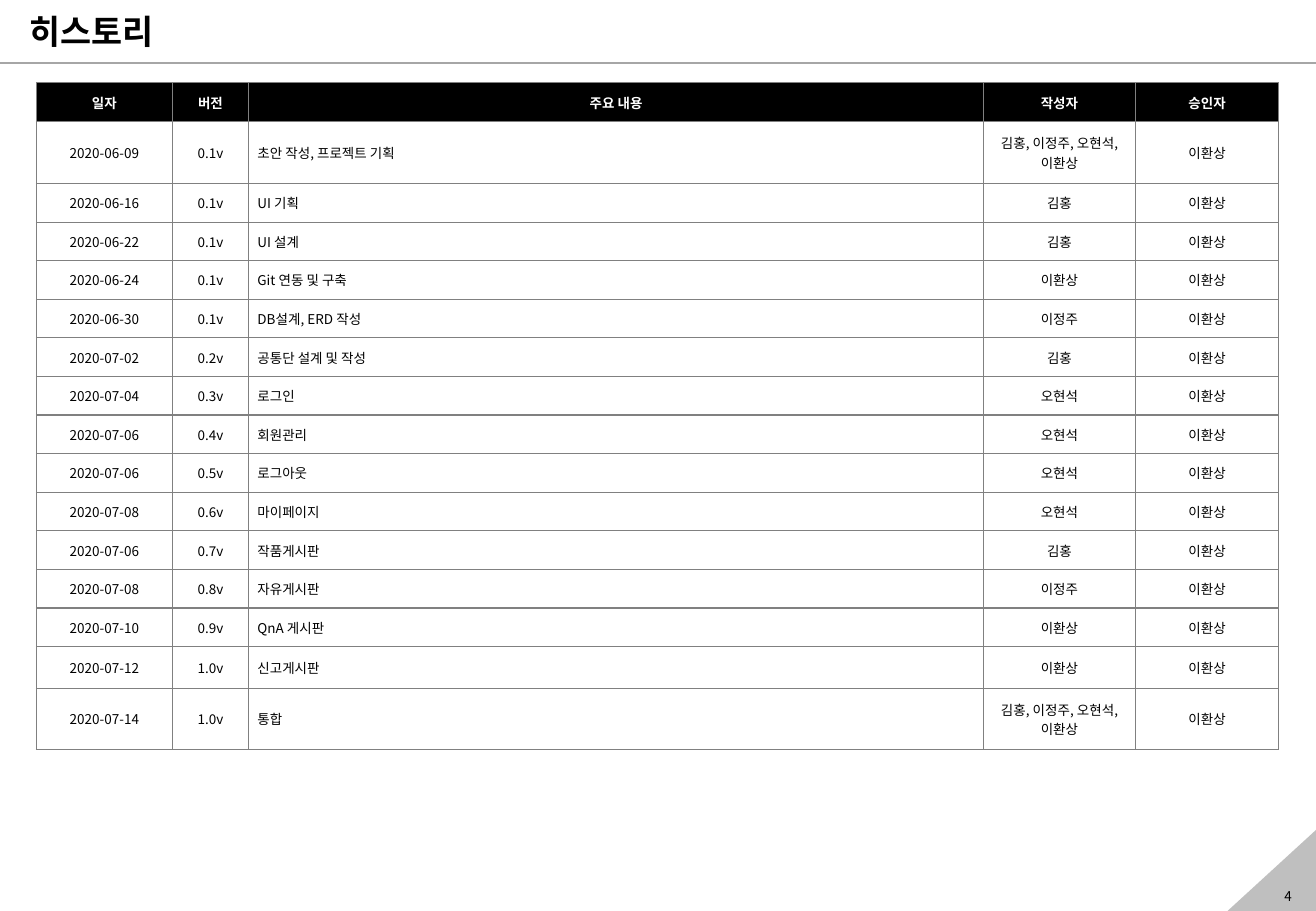
"""Builds the project history slide with its revision table."""
from lxml import etree
from pptx import Presentation
from pptx.dml.color import RGBColor
from pptx.enum import shapes, text
from pptx.oxml import ns
from pptx.util import Pt

FONT = "Noto Sans CJK KR"
BLACK = RGBColor(0x00, 0x00, 0x00)
WHITE = RGBColor(0xFF, 0xFF, 0xFF)
CORNER_GRAY = RGBColor(0xBF, 0xBF, 0xBF)
RULE_GRAY = RGBColor(0xA6, 0xA6, 0xA6)
BORDER_GRAY = RGBColor(0x80, 0x80, 0x80)

HEADER = ("일자", "버전", "주요 내용", "작성자", "승인자")
APPROVER = "이환상"
TEAM = "김홍, 이정주, 오현석, 이환상"
HISTORY = [
    ("2020-06-09", "0.1v", "초안 작성, 프로젝트 기획", TEAM),
    ("2020-06-16", "0.1v", "UI 기획", "김홍"),
    ("2020-06-22", "0.1v", "UI 설계", "김홍"),
    ("2020-06-24", "0.1v", "Git 연동 및 구축", "이환상"),
    ("2020-06-30", "0.1v", "DB설계, ERD 작성", "이정주"),
    ("2020-07-02", "0.2v", "공통단 설계 및 작성", "김홍"),
    ("2020-07-04", "0.3v", "로그인", "오현석"),
    ("2020-07-06", "0.4v", "회원관리", "오현석"),
    ("2020-07-06", "0.5v", "로그아웃", "오현석"),
    ("2020-07-08", "0.6v", "마이페이지", "오현석"),
    ("2020-07-06", "0.7v", "작품게시판", "김홍"),
    ("2020-07-08", "0.8v", "자유게시판", "이정주"),
    ("2020-07-10", "0.9v", "QnA 게시판", "이환상"),
    ("2020-07-12", "1.0v", "신고게시판", "이환상"),
    ("2020-07-14", "1.0v", "통합", TEAM),
]
COLUMN_WIDTHS = (80.6, 45.2, 435.6, 90, 85)
ROW_HEIGHTS = [23.1, 36.7] + [22.9] * 12 + [24.6, 36.7]


def write(para, words, size, color, bold=False, align=text.PP_ALIGN.CENTER):
    para.text = words
    para.alignment = align
    para.font.name = FONT
    para.font.size = Pt(size)
    para.font.bold = bold
    para.font.color.rgb = color
    latin = para._p.pPr.find(".//" + ns.qn("a:latin"))
    east_asian = etree.Element(ns.qn("a:ea"), typeface=FONT)
    latin.addnext(east_asian)


def add_borders(cell):
    properties = cell._tc.get_or_add_tcPr()
    for position, side in enumerate(("lnL", "lnR", "lnT", "lnB")):
        border = etree.Element(ns.qn("a:" + side), w=str(Pt(0.75)))
        fill = etree.SubElement(border, ns.qn("a:solidFill"))
        etree.SubElement(fill, ns.qn("a:srgbClr"), val=str(BORDER_GRAY))
        properties.insert(position, border)


deck = Presentation()
deck.slide_width, deck.slide_height = Pt(780), Pt(540)
page = deck.slides.add_slide(deck.slide_layouts[5])

corner = page.shapes.add_shape(
    shapes.MSO_SHAPE.RIGHT_TRIANGLE, Pt(729.9), Pt(489.5), Pt(48.2), Pt(52.6))
corner.rotation = 270
corner.shadow.inherit = False
corner.fill.solid()
corner.fill.fore_color.rgb = CORNER_GRAY
corner.line.fill.background()

number = page.shapes.add_textbox(Pt(738), Pt(520.6), Pt(51.1), Pt(21.6)).text_frame
number.word_wrap = True
number.vertical_anchor = text.MSO_ANCHOR.MIDDLE
write(number.paragraphs[0], "4", 10 * 0.8, BLACK)

rule = page.shapes.add_connector(
    shapes.MSO_CONNECTOR.STRAIGHT, Pt(0), Pt(37.4), Pt(780), Pt(37.4))
rule.line.color.rgb = RULE_GRAY
rule.line.width = Pt(1.5)
etree.SubElement(rule._element.spPr, ns.qn("a:effectLst"))

table = page.shapes.add_table(
    len(ROW_HEIGHTS), len(COLUMN_WIDTHS), Pt(21.6), Pt(49),
    Pt(sum(COLUMN_WIDTHS)), Pt(sum(ROW_HEIGHTS))).table
table.first_row = table.horz_banding = False
for column, width in zip(table.columns, COLUMN_WIDTHS):
    column.width = Pt(width)
for row, height in zip(table.rows, ROW_HEIGHTS):
    row.height = Pt(height)

records = [HEADER] + [entry + (APPROVER,) for entry in HISTORY]
for row_index, record in enumerate(records):
    is_header = row_index == 0
    for column_index, words in enumerate(record):
        cell = table.cell(row_index, column_index)
        cell.vertical_anchor = text.MSO_ANCHOR.MIDDLE
        cell.margin_left = cell.margin_right = Pt(5.2)
        cell.margin_top = cell.margin_bottom = Pt(2.6)
        if is_header:
            cell.fill.solid()
            cell.fill.fore_color.rgb = BLACK
        else:
            cell.fill.background()
        add_borders(cell)
        is_content = column_index == 2 and not is_header
        write(cell.text_frame.paragraphs[0], words, 8,
              WHITE if is_header else BLACK, is_header,
              text.PP_ALIGN.LEFT if is_content else text.PP_ALIGN.CENTER)

title = page.shapes.title
title.left, title.top, title.width, title.height = Pt(10), Pt(2.9), Pt(487.4), Pt(31)
title.text_frame.auto_size = text.MSO_AUTO_SIZE.NONE
title.text_frame.vertical_anchor = text.MSO_ANCHOR.MIDDLE
write(title.text_frame.paragraphs[0], "히스토리", 20, BLACK, True, text.PP_ALIGN.LEFT)

deck.save("out.pptx")
